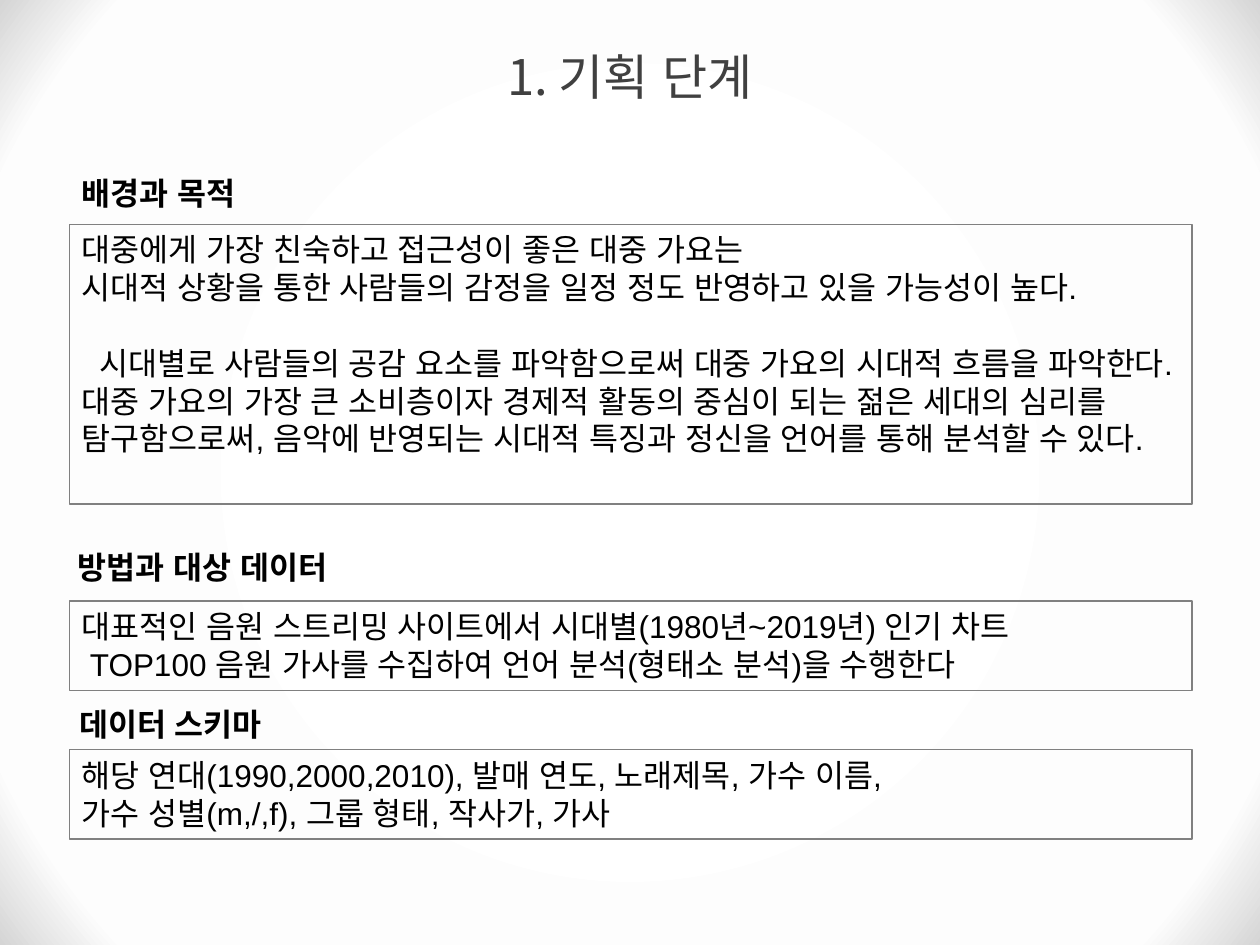
import pptx
import pptx.dml.color
import pptx.enum.lang
import pptx.enum.shapes
import pptx.enum.text
import pptx.oxml
import pptx.oxml.ns
import pptx.util

KOREAN_FONT = "Noto Sans CJK KR"
LINE_HEIGHT = 21.6


def color(value):
    return pptx.dml.color.RGBColor.from_string(value)


def write(frame, text, size=18, font="Arial", ink="000000", bold=False,
          align=pptx.enum.text.PP_ALIGN.LEFT,
          anchor=pptx.enum.text.MSO_ANCHOR.TOP):
    frame.word_wrap = True
    frame.auto_size = pptx.enum.text.MSO_AUTO_SIZE.NONE
    frame.vertical_anchor = anchor
    for number, line in enumerate(text.split("\n")):
        para = frame.add_paragraph() if number else frame.paragraphs[0]
        para.alignment = align
        span = para.add_run()
        span.text = line
        span.font.size = pptx.util.Pt(size)
        span.font.name = font
        span.font.bold = bold
        span.font.color.rgb = color(ink)
        span.font.language_id = pptx.enum.lang.MSO_LANGUAGE_ID.KOREAN
        latin = span.font._element.find(pptx.oxml.ns.qn("a:latin"))
        latin.addnext(pptx.oxml.parse_xml(
            f'<a:ea {pptx.oxml.ns.nsdecls("a")} typeface="{KOREAN_FONT}"/>'))


deck = pptx.Presentation()
deck.slide_width = pptx.util.Inches(10)
deck.slide_height = pptx.util.Inches(7.5)
width, height = deck.slide_width, deck.slide_height
page = deck.slides.add_slide(deck.slide_layouts[5])

page.background.fill.gradient()
gradient = page.element.find(".//" + pptx.oxml.ns.qn("a:gradFill"))
stops = "".join(
    f'<a:gs pos="{share * 1000}"><a:srgbClr val="{shade}"/></a:gs>'
    for share, shade in [(0, "FFFFFF"), (52, "FFFFFF"), (88, "FDFDFD"), (100, "D5D5D5")])
gradient.getparent().replace(gradient, pptx.oxml.parse_xml(
    f'<a:gradFill {pptx.oxml.ns.nsdecls("a")} rotWithShape="1"><a:gsLst>{stops}</a:gsLst>'
    '<a:path path="circle"><a:fillToRect l="50000" t="50000" r="50000" b="50000"/></a:path>'
    '</a:gradFill>'))

title = page.shapes.title
title.left, title.top = int(width * 0.05), int(height * 0.04)
title.width, title.height = int(width * 0.9), int(height * 0.08)
write(title.text_frame, "1. 기획 단계", size=28, font=KOREAN_FONT, ink="404040",
      align=pptx.enum.text.PP_ALIGN.CENTER, anchor=pptx.enum.text.MSO_ANCHOR.MIDDLE)

sections = [
    ("배경과 목적", 0.55, 1.33, 1.78, 2.22,
     "대중에게 가장 친숙하고 접근성이 좋은 대중 가요는\n"
     "시대적 상황을 통한 사람들의 감정을 일정 정도 반영하고 있을 가능성이 높다.\n"
     "시대별로 사람들의 공감 요소를 파악함으로써 대중 가요의 시대적 흐름을 파악한다. "
     "대중 가요의 가장 큰 소비층이자 경제적 활동의 중심이 되는 젊은 세대의 심리를 "
     "탐구함으로써, 음악에 반영되는 시대적 특징과 정신을 언어를 통해 분석할 수 있다."),
    ("방법과 대상 데이터", 0.52, 4.3, 4.77, 0.71,
     "대표적인 음원 스트리밍 사이트에서 시대별(1980년~2019년) 인기 차트\n"
     " TOP100 음원 가사를 수집하여 언어 분석(형태소 분석)을 수행한다"),
    ("데이터 스키마", 0.53, 5.55, 5.95, 0.71,
     "해당 연대(1990,2000,2010), 발매 연도, 노래제목, 가수 이름,\n"
     "가수 성별(m,/,f), 그룹 형태, 작사가, 가사"),
]

for heading, heading_left, heading_top, box_top, box_height, body in sections:
    box = page.shapes.add_shape(
        pptx.enum.shapes.MSO_SHAPE.RECTANGLE, pptx.util.Inches(0.55),
        pptx.util.Inches(box_top), pptx.util.Inches(8.91), pptx.util.Inches(box_height))
    box.shadow.inherit = False
    box.fill.background()
    box.line.color.rgb = color("808080")
    box.line.width = pptx.util.Pt(0.75)
    write(box.text_frame, body)
    for para in box.text_frame.paragraphs[2:]:
        para.space_before = pptx.util.Pt(LINE_HEIGHT)
        para._p.get_or_add_pPr().set("indent", str(pptx.util.Inches(0.14)))

    label = page.shapes.add_textbox(
        pptx.util.Inches(heading_left), pptx.util.Inches(heading_top),
        pptx.util.Inches(3.19), pptx.util.Inches(0.4))
    write(label.text_frame, heading, font=KOREAN_FONT, bold=True)

deck.save("out.pptx")
